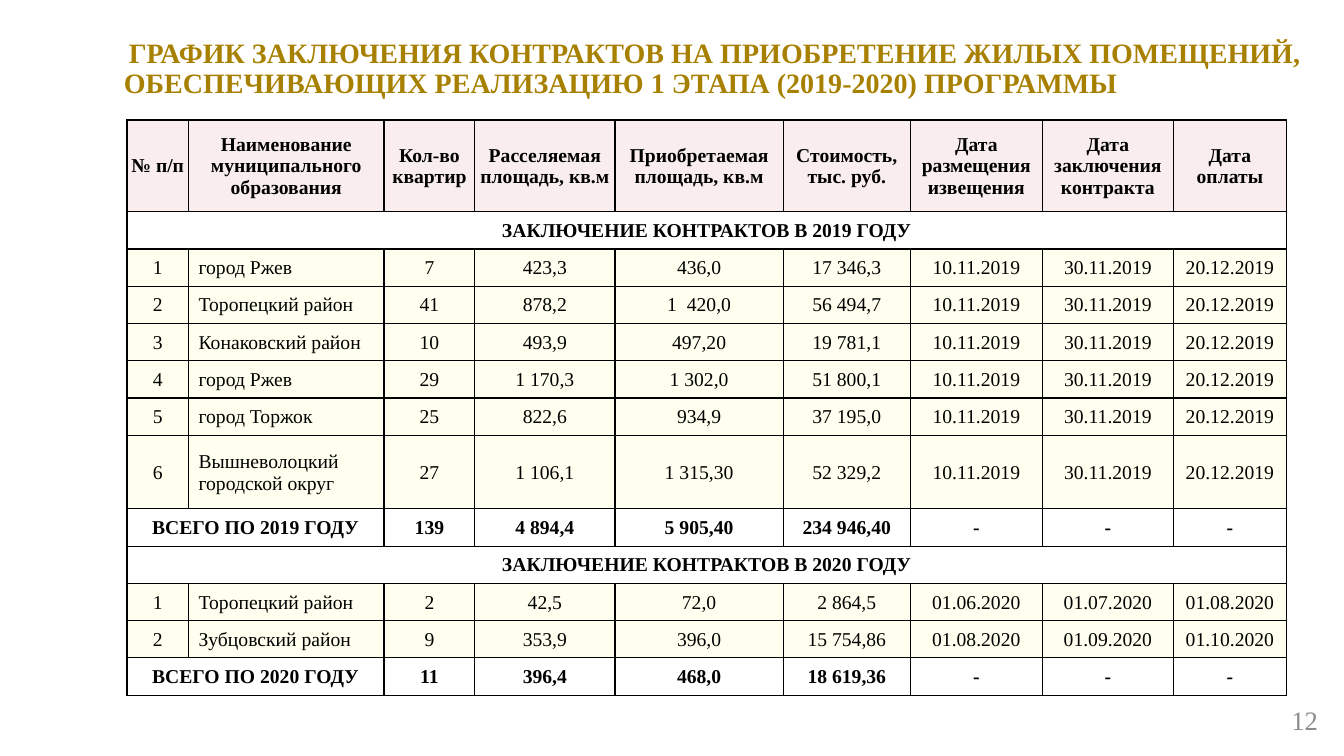
from dataclasses import dataclass

from lxml import etree
from pptx import Presentation
from pptx import util as u
from pptx.dml.color import RGBColor
from pptx.enum import text as t
from pptx.oxml import ns

PX = 9144  # 100 px to the inch
FONT = "Times New Roman"
BLACK, GOLD, GREY = "000000", "A88000", "8C8C8C"
HEADER_FILL, CONTRACT_FILL = "F9EEED", "FFFFEF"
HEADER_HEIGHT, ROW_HEIGHT, TALL_ROW_HEIGHT = 91, 37, 73
CELL_MARGINS = (1, 1, 1, 0)
NAME_COLUMN = 1


@dataclass(frozen=True)
class Column:
    heading: str
    width: int


@dataclass(frozen=True)
class Contract:
    municipality: str
    amounts: tuple[str, ...]
    dates: tuple[str, ...]
    height: int = ROW_HEIGHT


@dataclass(frozen=True)
class Section:
    year: int
    contracts: tuple[Contract, ...]
    totals: tuple[str, ...]


@dataclass(frozen=True)
class Row:
    values: tuple[str, ...]
    span: int = 1
    height: int = ROW_HEIGHT
    fill: str | None = None
    bold: bool = True


COLUMNS = (
    Column("№ п/п", 61),
    Column("Наименование муниципального образования", 194),
    Column("Кол-во квартир", 90),
    Column("Расселяемая площадь, кв.м", 139),
    Column("Приобретаемая площадь, кв.м", 167),
    Column("Стоимость, тыс. руб.", 126),
    Column("Дата размещения извещения", 131),
    Column("Дата заключения контракта", 130),
    Column("Дата оплаты", 112),
)

DATES_2019 = ("10.11.2019", "30.11.2019", "20.12.2019")
SECTIONS = (
    Section(2019, (
        Contract("город Ржев", ("7", "423,3", "436,0", "17 346,3"), DATES_2019),
        Contract("Торопецкий район", ("41", "878,2", "1  420,0", "56 494,7"), DATES_2019),
        Contract("Конаковский район", ("10", "493,9", "497,20", "19 781,1"), DATES_2019),
        Contract("город Ржев", ("29", "1 170,3", "1 302,0", "51 800,1"), DATES_2019),
        Contract("город Торжок", ("25", "822,6", "934,9", "37 195,0"), DATES_2019),
        Contract("Вышневолоцкий городской округ", ("27", "1 106,1", "1 315,30", "52 329,2"),
                 DATES_2019, TALL_ROW_HEIGHT),
    ), ("139", "4 894,4", "5 905,40", "234 946,40")),
    Section(2020, (
        Contract("Торопецкий район", ("2", "42,5", "72,0", "2 864,5"),
                 ("01.06.2020", "01.07.2020", "01.08.2020")),
        Contract("Зубцовский район", ("9", "353,9", "396,0", "15 754,86"),
                 ("01.08.2020", "01.09.2020", "01.10.2020")),
    ), ("11", "396,4", "468,0", "18 619,36")),
)


def px(length: int) -> u.Emu:
    return u.Emu(length * PX)


def rgb(color: str) -> RGBColor:
    return RGBColor.from_string(color)


def write_text(frame, text: str, *, size: int, color: str = BLACK, bold: bool = False,
               align=t.PP_ALIGN.CENTER, left: int = 0, indent: int = 0,
               line_spacing: float | None = None) -> None:
    frame.word_wrap = True
    paragraph = frame.paragraphs[0]
    paragraph.alignment = align
    paragraph.line_spacing = line_spacing
    properties = paragraph._p.get_or_add_pPr()
    properties.set("marL", str(px(left)))
    properties.set("indent", str(px(indent)))
    run = paragraph.add_run()
    run.text = text
    run.font.name = FONT
    run.font.size = u.Pt(size)
    run.font.bold = bold
    run.font.color.rgb = rgb(color)


def set_margins(holder, margins: tuple[int, int, int, int]) -> None:
    """Set left, top, right and bottom margins of a cell or text frame."""
    for side, margin in zip(("left", "top", "right", "bottom"), margins):
        setattr(holder, f"margin_{side}", px(margin))


def add_text_box(slide, box: tuple[int, int, int, int], text: str,
                 margins: tuple[int, int, int, int], **text_format) -> None:
    frame = slide.shapes.add_textbox(*map(px, box)).text_frame
    frame.vertical_anchor = t.MSO_ANCHOR.MIDDLE
    set_margins(frame, margins)
    write_text(frame, text, **text_format)


def style_cell(cell, fill: str | None) -> None:
    set_margins(cell, CELL_MARGINS)
    cell.vertical_anchor = t.MSO_ANCHOR.MIDDLE
    properties = cell._tc.get_or_add_tcPr()
    for side in ("lnL", "lnR", "lnT", "lnB"):
        border = etree.SubElement(properties, ns.qn(f"a:{side}"), w=str(u.Pt(1)))
        solid = etree.SubElement(border, ns.qn("a:solidFill"))
        etree.SubElement(solid, ns.qn("a:srgbClr"), val=BLACK)
    if fill:
        cell.fill.solid()
        cell.fill.fore_color.rgb = rgb(fill)
    else:
        cell.fill.background()


def schedule_rows() -> list[Row]:
    rows = [Row(tuple(column.heading for column in COLUMNS),
                height=HEADER_HEIGHT, fill=HEADER_FILL)]
    for section in SECTIONS:
        rows.append(Row((f"ЗАКЛЮЧЕНИЕ КОНТРАКТОВ В {section.year} ГОДУ",), span=len(COLUMNS)))
        for number, contract in enumerate(section.contracts, 1):
            values = (str(number), contract.municipality, *contract.amounts, *contract.dates)
            rows.append(Row(values, height=contract.height, fill=CONTRACT_FILL, bold=False))
        rows.append(Row((f"ВСЕГО ПО {section.year} ГОДУ", *section.totals, "-", "-", "-"), span=2))
    return rows


def add_schedule(slide, left: int, top: int) -> None:
    rows = schedule_rows()
    width = sum(column.width for column in COLUMNS)
    height = sum(row.height for row in rows)
    table = slide.shapes.add_table(len(rows), len(COLUMNS), px(left), px(top),
                                   px(width), px(height)).table
    table.first_row = table.horz_banding = False
    for index, column in enumerate(COLUMNS):
        table.columns[index].width = px(column.width)
    for row_index, row in enumerate(rows):
        table.rows[row_index].height = px(row.height)
        for column_index in range(len(COLUMNS)):
            style_cell(table.cell(row_index, column_index), row.fill)
        if row.span > 1:
            table.cell(row_index, 0).merge(table.cell(row_index, row.span - 1))
        for index, value in enumerate(row.values):
            column_index = index + row.span - 1 if index else 0
            is_name = column_index == NAME_COLUMN and not row.bold
            write_text(table.cell(row_index, column_index).text_frame, value,
                       size=14, bold=row.bold, left=9 if is_name else 0,
                       align=t.PP_ALIGN.JUSTIFY if is_name else t.PP_ALIGN.CENTER)


def main() -> None:
    presentation = Presentation()
    presentation.slide_width, presentation.slide_height = px(1333), px(750)
    slide = presentation.slides.add_slide(presentation.slide_layouts[6])
    add_text_box(slide, (113, 40, 1193, 92),
                 "ГРАФИК ЗАКЛЮЧЕНИЯ КОНТРАКТОВ НА ПРИОБРЕТЕНИЕ ЖИЛЫХ ПОМЕЩЕНИЙ, "
                 "ОБЕСПЕЧИВАЮЩИХ РЕАЛИЗАЦИЮ 1 ЭТАПА (2019-2020) ПРОГРАММЫ",
                 (10, 0, 0, 35), size=20, color=GOLD, bold=True,
                 align=t.PP_ALIGN.LEFT, indent=5, line_spacing=0.9)
    add_schedule(slide, 126, 119)
    add_text_box(slide, (1010, 699, 307, 31), "12", (10, 5, 10, 5),
                 size=19, color=GREY, align=t.PP_ALIGN.RIGHT)
    presentation.save("out.pptx")


if __name__ == "__main__":
    main()
